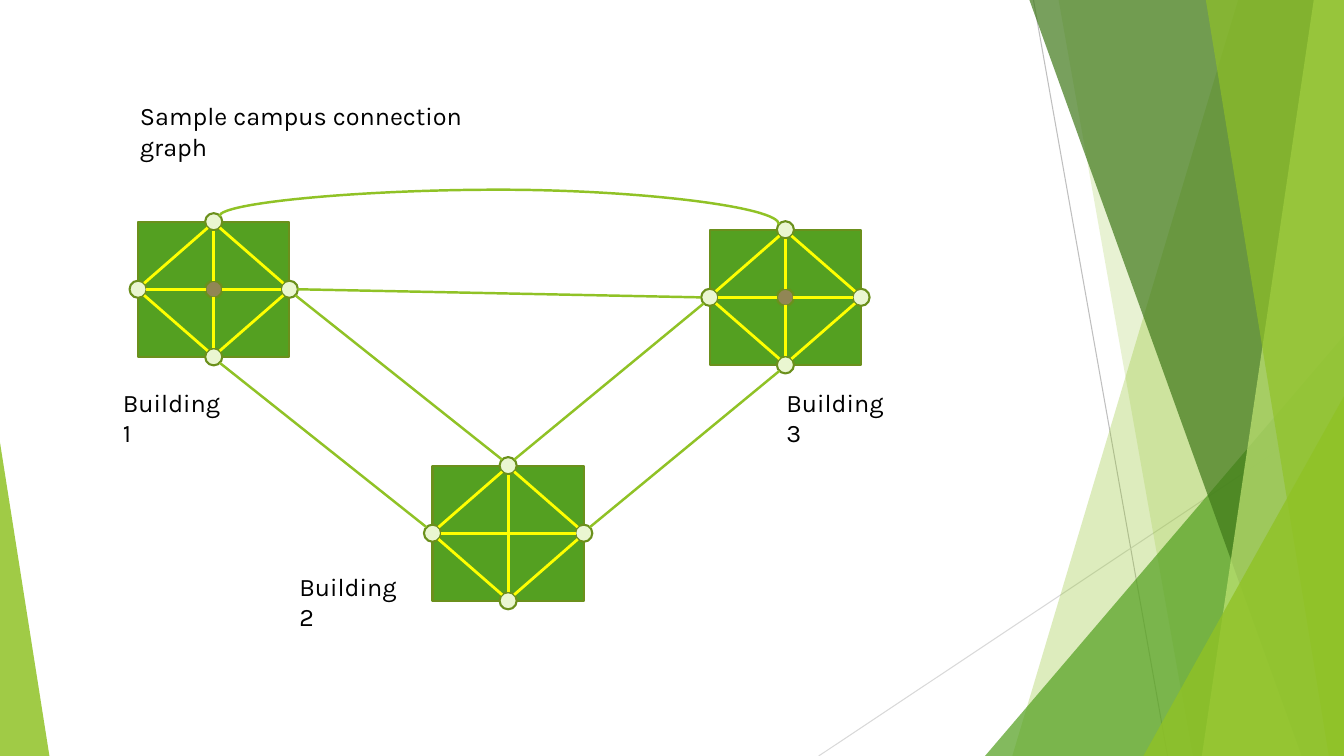
from pptx import Presentation
from pptx.dml.color import RGBColor
from pptx.enum.shapes import MSO_CONNECTOR as Link, MSO_SHAPE as Kind
from pptx.oxml.ns import qn
from pptx.util import Inches, Pt
from lxml.etree import SubElement as Sub

deck = Presentation()
deck.slide_width, deck.slide_height = Inches(13.33), Inches(7.5)
slide = deck.slides.add_slide(deck.slide_layouts[6])
shapes = slide.shapes


def paint(shape, fill, edge=None, alpha=100):
    shape.shadow.inherit = False
    shape.fill.solid()
    shape.fill.fore_color.rgb = RGBColor.from_string(fill)
    if alpha < 100:
        color = shape.fill._xPr.find(qn("a:solidFill"))[0]
        Sub(color, qn("a:alpha"), val=str(alpha * 1000))
    if edge:
        shape.line.color.rgb = RGBColor.from_string(edge)
        shape.line.width = Pt(1.5)
    else:
        shape.line.fill.background()


def join(x1, y1, x2, y2, color, width, kind=Link.STRAIGHT):
    line = shapes.add_connector(kind, Inches(x1), Inches(y1), Inches(x2), Inches(y2))
    line.line.color.rgb = RGBColor.from_string(color)
    line.line.width = Pt(width)
    Sub(line._element.spPr, qn("a:effectLst"))
    return line


# Background facets: triangles have a box, the rest have corner points
join(10.25, 0, 11.58, 7.5, "BFBFBF", 0.75)
join(13.33, 4.03, 8.12, 7.5, "D9D9D9", 0.75)

# Top x, bottom x, colour, opacity of bands that reach the right edge,
# or left, top, width, height, apex, colour, opacity of triangles
facets = [
    (12.28, 10.04, "90C226", 30),
    (10.5, 11.83, "90C226", 20),
    (9.77, 3.33, 3.56, 4.17, 1, "54A021", 72),
    (10.21, 12.91, "3F7819", 70),
    (13.03, 11.92, "C0E474", 70),
    (11.96, 13.18, "90C226", 65),
    (11.34, 3.93, 1.99, 3.57, 1, "90C226", 80),
    (0, 4.39, 0.49, 3.11, 0, "90C226", 85),
]
for *place, color, alpha in facets:
    if len(place) == 2:
        top, low = place
        pen = shapes.build_freeform(Inches(top), 0)
        ends = [(13.33, 0), (13.33, 7.5), (low, 7.5)]
        pen.add_line_segments([(Inches(x), Inches(y)) for x, y in ends])
        facet = pen.convert_to_shape()
    else:
        *box, apex = place
        facet = shapes.add_shape(Kind.ISOSCELES_TRIANGLE, *map(Inches, box))
        facet.adjustments[0] = apex
    paint(facet, color, alpha=alpha)

# Buildings: centre x, centre y, has a hub
half, rise, dot = 0.75, 0.67, 0.17
sides = [(0, -1), (1, 0), (0, 1), (-1, 0)]
for cx, cy, hub in [(2.12, 2.87, True), (7.79, 2.95, True), (5.04, 5.29, False)]:
    block = shapes.add_shape(Kind.RECTANGLE, Inches(cx - half), Inches(cy - rise),
                             Inches(2 * half), Inches(2 * rise))
    paint(block, "54A021", "6B901C")

    # Nodes on the four sides, and the hub
    nodes = [(cx + half * dx, cy + rise * dy, "EAF6D1") for dx, dy in sides]
    if hub:
        nodes.append((cx, cy, "918655"))
    for x, y, color in nodes:
        node = shapes.add_shape(Kind.OVAL, Inches(x - dot / 2), Inches(y - dot / 2),
                                Inches(dot), Inches(dot))
        paint(node, color, "6B901C")

    # Ring links between neighbouring nodes
    for dx, dy in [(-1, -1), (1, -1), (1, 1), (-1, 1)]:
        join(cx + 0.06 * dx, cy + 0.61 * dy, cx + 0.69 * dx, cy + 0.06 * dy, "FFFF00", 2)

    # Spokes from the hub, or two straight crossing links
    if hub:
        for dx, dy in sides:
            join(cx + 0.08 * dx, cy + 0.08 * dy, cx + 0.67 * dx, cy + 0.58 * dy, "FFFF00", 2)
    else:
        join(cx, cy + 0.58, cx, cy - 0.58, "FFFF00", 2)
        join(cx - 0.67, cy, cx + 0.67, cy, "FFFF00", 2)

# Links between buildings
for ends in [(2.18, 3.6, 4.23, 5.23), (5.85, 5.23, 7.73, 3.68), (2.93, 2.93, 4.98, 4.56),
             (5.1, 4.56, 6.98, 3.01), (2.95, 2.87, 6.95, 2.95)]:
    join(*ends, "90C226", 1.75)

# Arched link, a quarter turn of a tall curve
arch = join(4.99, -0.59, 4.91, 4.96, "90C226", 1.75, Link.CURVE)
form = arch._element.spPr
form.find(qn("a:xfrm")).set("rot", str(270 * 60000))
geom = form.find(qn("a:prstGeom"))
guides = geom.find(qn("a:avLst"))
if guides is None:
    guides = Sub(geom, qn("a:avLst"))
Sub(guides, qn("a:gd"), name="adj1", fmla="val -329300")

# Title and building labels
for text, x, y, width in [("Sample campus connection graph", 1.29, 0.95, 3.66),
                          ("Building 1", 1.12, 3.79, 1.21),
                          ("Building 2", 2.87, 5.62, 1.21),
                          ("Building 3", 7.7, 3.79, 1.21)]:
    label = shapes.add_textbox(Inches(x), Inches(y), Inches(width), Inches(0.4))
    label.text_frame.word_wrap = True
    label.text_frame.text = text
    font = label.text_frame.paragraphs[0].font
    font.name, font.size = "Karla", Pt(18)
    font.color.rgb = RGBColor.from_string("000000")

deck.save("out.pptx")
